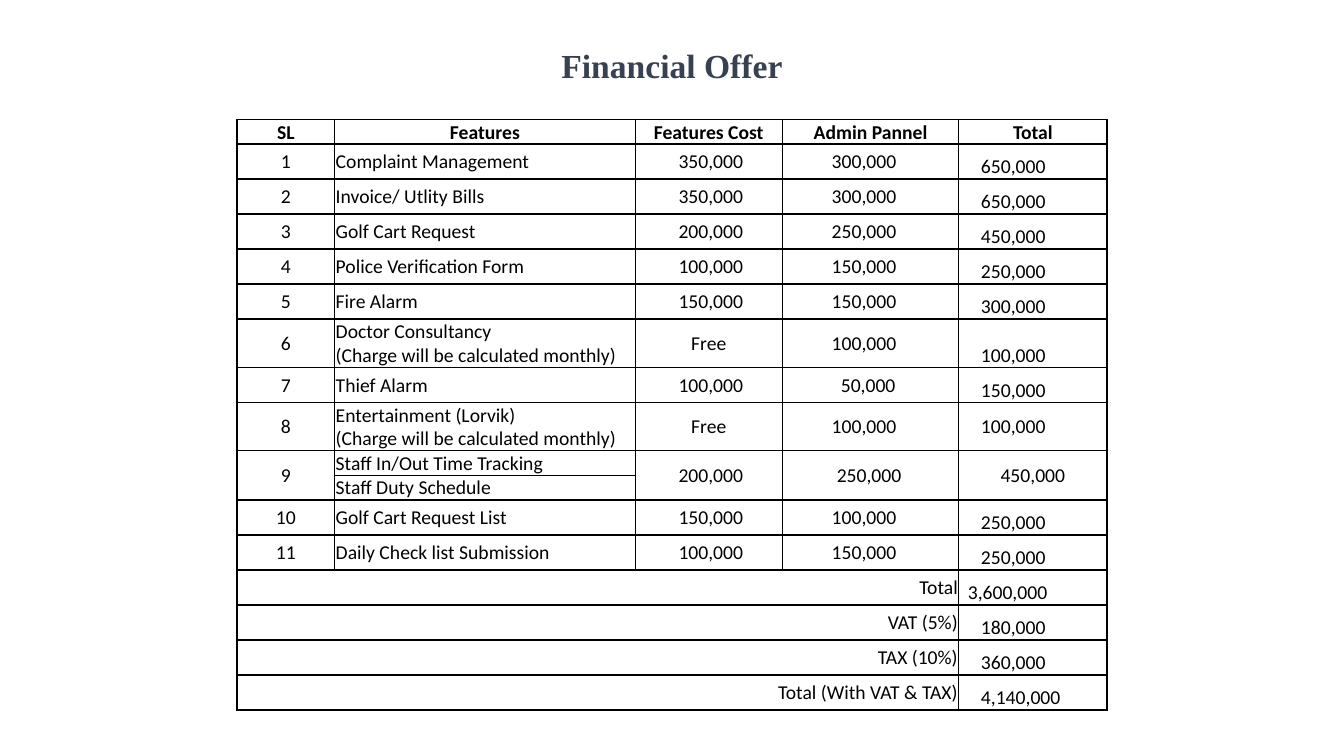
from lxml.etree import SubElement
from pptx import Presentation
from pptx.dml.color import RGBColor
from pptx.enum.text import MSO_ANCHOR, PP_ALIGN
from pptx.oxml import parse_xml
from pptx.oxml.ns import nsdecls, qn
from pptx.util import Inches, Pt

THEME = {
    "title": {"name": "Times New Roman", "size": Pt(24), "bold": True},
    "head": {"name": "Calibri", "size": Pt(14), "bold": True},
    "body": {"name": "Calibri", "size": Pt(14), "bold": False},
    "title_color": RGBColor.from_string("374151"),
    "text_color": RGBColor.from_string("000000"),
    "border": "000000",
    "border_width": Pt(1),
}
LEFT, CENTER, RIGHT = PP_ALIGN.LEFT, PP_ALIGN.CENTER, PP_ALIGN.RIGHT
MIDDLE, BOTTOM = MSO_ANCHOR.MIDDLE, MSO_ANCHOR.BOTTOM
PAD = 0.01


def write(tf, text, style, color, align):
    tf.text = text
    p = tf.paragraphs[0]
    p.alignment = align
    for r in p.runs:
        for key, value in THEME[style].items():
            setattr(r.font, key, value)
        r.font.color.rgb = THEME[color]
    return p


def fill_cell(cell, text, style="body", align=LEFT, indent=PAD, anchor=MIDDLE):
    write(cell.text_frame, text, style, "text_color", align)
    cell.margin_left = Inches(indent)
    cell.vertical_anchor = anchor


prs = Presentation()
prs.slide_width, prs.slide_height = Inches(13.33), Inches(7.5)
W, H = prs.slide_width, prs.slide_height
s = prs.slides.add_slide(prs.slide_layouts[6])

sp = s.shapes.add_textbox(int(W * 0.35), int(H * 0.05), int(W * 0.3), int(H * 0.07))
tf = sp.text_frame
tf.word_wrap = True
tf.vertical_anchor = BOTTOM
p = write(tf, "Financial Offer", "title", "title_color", CENTER)
p.line_spacing = 0.9

heads = ["SL", "Features", "Features Cost", "Admin Pannel", "Total"]
monthly = "\v(Charge will be calculated monthly)"
features = [
    ("1", "Complaint Management", "350,000", "300,000", "650,000"),
    ("2", "Invoice/ Utlity Bills", "350,000", "300,000", "650,000"),
    ("3", "Golf Cart Request", "200,000", "250,000", "450,000"),
    ("4", "Police Verification Form", "100,000", "150,000", "250,000"),
    ("5", "Fire Alarm", "150,000", "150,000", "300,000"),
    ("6", "Doctor Consultancy" + monthly, "Free", "100,000", "100,000"),
    ("7", "Thief Alarm", "100,000", "50,000", "150,000"),
    ("8", "Entertainment (Lorvik)" + monthly, "Free", "100,000", "100,000"),
    ("9", "Staff In/Out Time Tracking", "200,000", "250,000", "450,000"),
    ("", "Staff Duty Schedule", "", "", ""),
    ("10", "Golf Cart Request List", "150,000", "100,000", "250,000"),
    ("11", "Daily Check list Submission", "100,000", "150,000", "250,000"),
]
sums = [
    ("Total", "3,600,000"),
    ("VAT (5%)", "180,000"),
    ("TAX (10%)", "360,000"),
    ("Total (With VAT & TAX)", "4,140,000"),
]
ENTERTAINMENT, STAFF = 8, 9
col_widths = [0.97, 2.98, 1.46, 1.75, 1.47]
indents = [PAD, PAD, 0.43, 0.49, 0.22]
special_indents = {(7, 3): 0.58, (STAFF, 3): 0.54, (13, 4): 0.09}

table_height, line = 5.85, 0.24
row_lines = {0: 1, 6: 2, ENTERTAINMENT: 2, STAFF: 1, STAFF + 1: 1}
n_rows = 1 + len(features) + len(sums)
single = (table_height - line * sum(row_lines.values())) / (n_rows - len(row_lines))

gf = s.shapes.add_table(n_rows, len(heads), int(W * 0.1763), int(H * 0.158),
                        Inches(sum(col_widths)), Inches(table_height))
table = gf.table
table.first_row = table.horz_banding = False
for col, width in zip(table.columns, col_widths):
    col.width = Inches(width)
for i, row in enumerate(table.rows):
    row.height = Inches(line * row_lines[i] if i in row_lines else single)

for cell in table.iter_cells():
    cell.margin_left = cell.margin_right = cell.margin_top = Inches(PAD)
    cell.margin_bottom = 0
    cell.fill.background()
    tcPr = cell._tc.get_or_add_tcPr()
    for i, side in enumerate(("lnL", "lnR", "lnT", "lnB")):
        ln = parse_xml(f'<a:{side} {nsdecls("a")} w="{THEME["border_width"]}"/>')
        solid = SubElement(ln, qn("a:solidFill"))
        SubElement(solid, qn("a:srgbClr")).set("val", THEME["border"])
        tcPr.insert(i, ln)

for c, text in enumerate(heads):
    fill_cell(table.cell(0, c), text, "head", CENTER)

for c in (0, 2, 3, 4):
    table.cell(STAFF, c).merge(table.cell(STAFF + 1, c))

for i, values in enumerate(features, 1):
    for c, text in enumerate(values):
        if not text:
            continue
        centered = c == 0 or text == "Free" or (i, c) == (STAFF, 4)
        indent = PAD if centered else special_indents.get((i, c), indents[c])
        anchor = BOTTOM if c == 4 and i not in (ENTERTAINMENT, STAFF) else MIDDLE
        fill_cell(table.cell(i, c), text, align=CENTER if centered else LEFT,
                  indent=indent, anchor=anchor)

for i, (label, amount) in enumerate(sums, 1 + len(features)):
    table.cell(i, 0).merge(table.cell(i, 3))
    fill_cell(table.cell(i, 0), label, align=RIGHT)
    fill_cell(table.cell(i, 4), amount, anchor=BOTTOM,
              indent=special_indents.get((i, 4), indents[4]))

prs.save("out.pptx")
